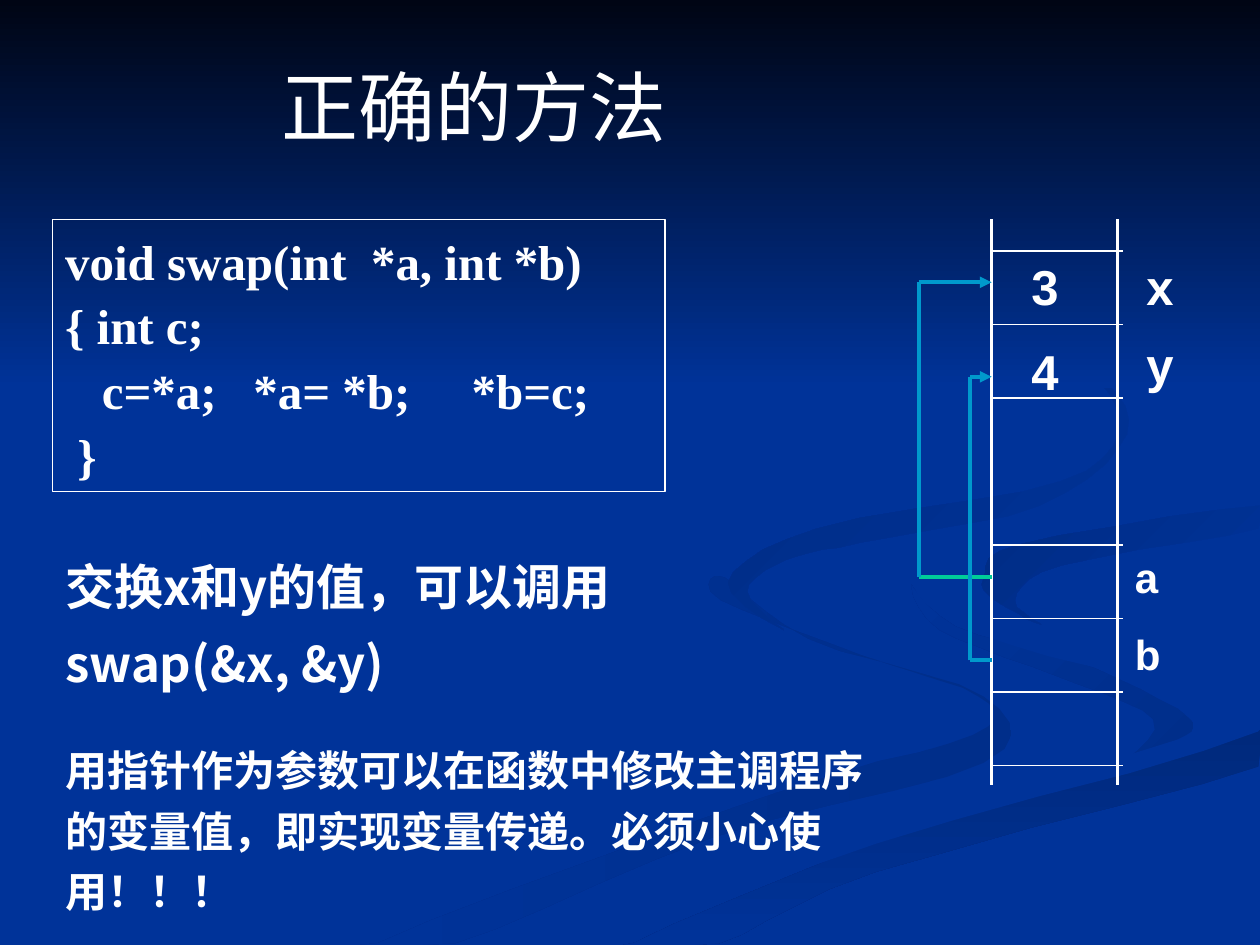
from lxml.etree import SubElement
from pptx import Presentation
from pptx.dml.color import RGBColor
from pptx.enum.shapes import MSO_CONNECTOR, MSO_SHAPE
from pptx.enum.text import MSO_ANCHOR, MSO_AUTO_SIZE, PP_ALIGN
from pptx.oxml.ns import qn
from pptx.util import Pt

COLORS = {
    "background": "003399", "night": "000514", "text": "FFFFFF",
    "pointer": "0099CC", "pointer_start": "00CC99",
    "ribbon": "002E8A", "shade": "00297C", "curl": "002C85", "loop": "002B81",
}
CJK_FONT = "Noto Sans CJK SC"
LEFT_RAIL, RIGHT_RAIL, RUNG_END = 566.6, 638.6, 641.5
RAIL_TOP, RAIL_BOTTOM = 125.3, 448.6
FIRST_RUNG, CELL_HEIGHT = 143.5, 42
CURVE_STEPS = 5

RIBBONS = [
    (("ribbon", "background", 180), [
        (562, 398), (462, 365), (414, 330), (412, 343), (491, 374), (559, 398),
        (556, 420), (444, 453), (216, 539), (260, 539), (406, 479), (562, 436)]),
    (("ribbon", "background", 225), [
        (679, 410), (626, 382), (546, 358), (521, 334), (537, 360), (603, 386),
        (659, 411), (644, 436), (674, 422)]),
    (("shade", "background", 90), [
        (362, 539), (411, 539), (501, 498), (719, 438), (719, 418), (550, 463)]),
    (("background", "background", 0), [
        (522, 334), (558, 362), (662, 394), (675, 422), (446, 481), (343, 539),
        (501, 482), (719, 418), (719, 387), (579, 349), (584, 315), (719, 289),
        (719, 279), (544, 311)]),
    (("background", "curl", 225), [
        (562, 331), (570, 344), (595, 357), (580, 343), (607, 323), (719, 302),
        (719, 289), (583, 311)]),
    (("background", "loop", 225), [
        (492, 310), (594, 289), (644, 248), (622, 209), (549, 168), (609, 201),
        (640, 241), (606, 275), (467, 302), (416, 333), (448, 360), (427, 338),
        (449, 320)]),
]


def color(name):
    return RGBColor.from_string(COLORS[name])


def apply_format(target, values):
    for name, value in values.items():
        setattr(target, name, value)


def fill_gradient(shape, start, end, angle):
    shape.shadow.inherit = False
    shape.line.fill.background()
    shape.fill.gradient()
    shape.fill.gradient_angle = (360 - angle) % 360
    for stop, name in zip(shape.fill.gradient_stops, (start, end)):
        stop.color.rgb = color(name)


def blend(before, start, end, after, t):
    return (2 * start + (end - before) * t
            + (2 * before - 5 * start + 4 * end - after) * t ** 2
            + (3 * start - before - 3 * end + after) * t ** 3) / 2


def smooth_outline(points):
    outline = []
    for index in range(len(points)):
        corners = [points[(index + offset) % len(points)] for offset in (-1, 0, 1, 2)]
        for step in range(CURVE_STEPS):
            x, y = (blend(*axis, step / CURVE_STEPS) for axis in zip(*corners))
            outline.append((min(x, 720), min(y, 540)))
    return outline


def add_ribbon(slide, points, gradient):
    outline = smooth_outline(points)
    builder = slide.shapes.build_freeform(*outline[0], scale=Pt(1))
    builder.add_line_segments(outline[1:], close=True)
    fill_gradient(builder.convert_to_shape(), *gradient)


def add_line(slide, start, end, width, color_name="text", arrow=False):
    line = slide.shapes.add_connector(
        MSO_CONNECTOR.STRAIGHT, *(Pt(value) for value in start + end))
    line.line.color.rgb = color(color_name)
    line.line.width = Pt(width)
    if arrow:
        SubElement(line.line._get_or_add_ln(), qn("a:tailEnd"), type="triangle")
    SubElement(line._element.spPr, qn("a:effectLst"))


def write_text(shape, lines, size, font="Arial", bold=True, east_asian=None,
               line_spacing=1.0, space_before=0, margin_left=7.2):
    frame = shape.text_frame
    apply_format(frame, {
        "word_wrap": True, "auto_size": MSO_AUTO_SIZE.SHAPE_TO_FIT_TEXT,
        "vertical_anchor": MSO_ANCHOR.TOP, "margin_left": Pt(margin_left),
        "margin_right": Pt(7.2), "margin_top": Pt(3.6), "margin_bottom": Pt(3.6)})
    for index, text in enumerate(lines):
        paragraph = frame.add_paragraph() if index else frame.paragraphs[0]
        apply_format(paragraph, {
            "alignment": PP_ALIGN.LEFT, "line_spacing": line_spacing,
            "space_before": Pt(space_before if index else 0)})
        run = paragraph.add_run()
        run.text = text
        apply_format(run.font, {"name": font, "size": Pt(size), "bold": bold})
        run.font.color.rgb = color("text")
        if east_asian:
            SubElement(run.font._element, qn("a:ea"), typeface=east_asian)


def add_text(slide, bounds, lines, size, **options):
    box = slide.shapes.add_textbox(*(Pt(value) for value in bounds))
    write_text(box, lines, size, **options)


def add_code(slide, bounds, lines):
    box = slide.shapes.add_shape(MSO_SHAPE.RECTANGLE, *(Pt(value) for value in bounds))
    box.shadow.inherit = False
    box.fill.background()
    box.line.color.rgb = color("text")
    box.line.width = Pt(0.75)
    write_text(box, lines, 28, font="Times New Roman", line_spacing=1.1)


def add_backdrop(slide):
    slide.background.fill.solid()
    slide.background.fill.fore_color.rgb = color("background")
    for gradient, points in RIBBONS:
        add_ribbon(slide, points, gradient)
    band = slide.shapes.add_shape(MSO_SHAPE.RECTANGLE, 0, 0, Pt(720), Pt(221.8))
    fill_gradient(band, "night", "background", 90)


def add_pointer(slide, turn, source, target, start_color="pointer"):
    add_line(slide, (LEFT_RAIL, source), (turn, source), 2.25, start_color)
    add_line(slide, (turn, source), (turn, target), 2.25, "pointer")
    add_line(slide, (turn, target), (LEFT_RAIL, target), 2.25, "pointer", arrow=True)


def add_memory(slide):
    for rail in (LEFT_RAIL, RIGHT_RAIL):
        add_line(slide, (rail, RAIL_TOP), (rail, RAIL_BOTTOM), 2)
    for row in (0, 1, 2, 4, 5, 6, 7):
        height = FIRST_RUNG + row * CELL_HEIGHT
        add_line(slide, (LEFT_RAIL, height), (RUNG_END, height), 0.75)
    add_pointer(slide, 524.9, 329.8, 161.3, "pointer_start")
    add_pointer(slide, 554.4, 377.3, 215.3)
    for value, top in (("3", 143.3), ("4", 191.5)):
        add_text(slide, (LEFT_RAIL, top, 72, 41), [value], 28, margin_left=22.8)
    add_text(slide, (648, 143.3, 35.3, 85), ["x", "y"], 28, space_before=10.5)
    add_text(slide, (RUNG_END, 311.8, 23.8, 79.9), ["a", "b"], 24, space_before=15)


def add_title(slide, text):
    title = slide.shapes.title
    apply_format(title, {"left": Pt(153.4), "top": Pt(30.2),
                         "width": Pt(450.7), "height": Pt(60.5)})
    write_text(title, [text], 44, bold=False, east_asian=CJK_FONT)
    slide.shapes._spTree.append(title._element)


def main():
    presentation = Presentation()
    apply_format(presentation, {"slide_width": Pt(720), "slide_height": Pt(540)})
    slide = presentation.slides.add_slide(presentation.slide_layouts[5])
    add_backdrop(slide)
    add_code(slide, (30.2, 125.3, 349.9, 155.5), [
        "void swap(int  *a, int *b)", "{ int c;",
        "   c=*a;   *a= *b;     *b=c;", " }"])
    add_memory(slide)
    add_text(slide, (30.2, 304.6, 401.8, 95), ["交换x和y的值，可以调用swap(&x, &y)"], 28,
             font=CJK_FONT, east_asian=CJK_FONT, line_spacing=1.3)
    add_text(slide, (30.2, 416.2, 475.2, 110.9),
             ["用指针作为参数可以在函数中修改主调程序的变量值，即实现变量传递。必须小心使用！！！"],
             24, east_asian=CJK_FONT, line_spacing=1.2)
    add_title(slide, "正确的方法")
    presentation.save("out.pptx")


if __name__ == "__main__":
    main()
